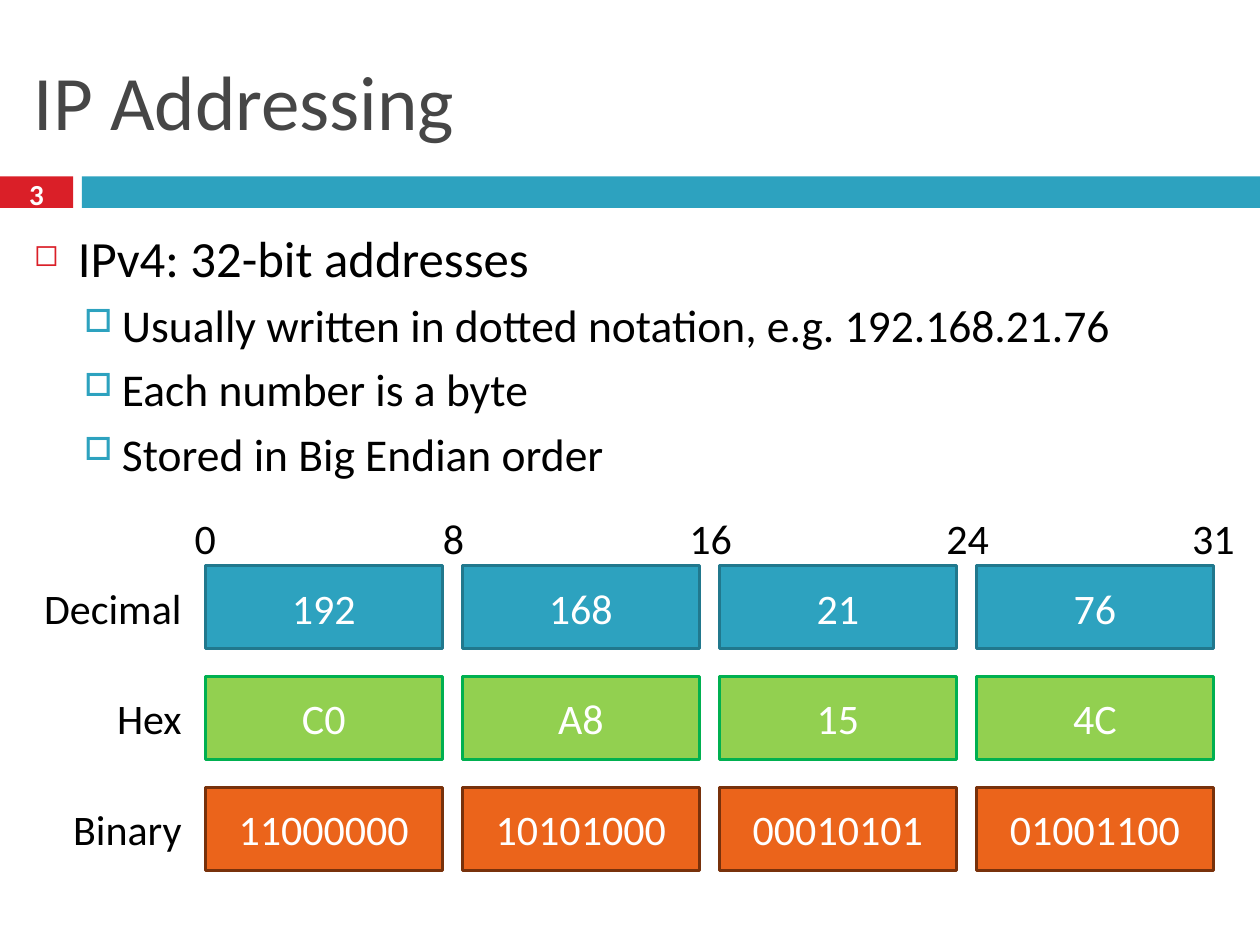
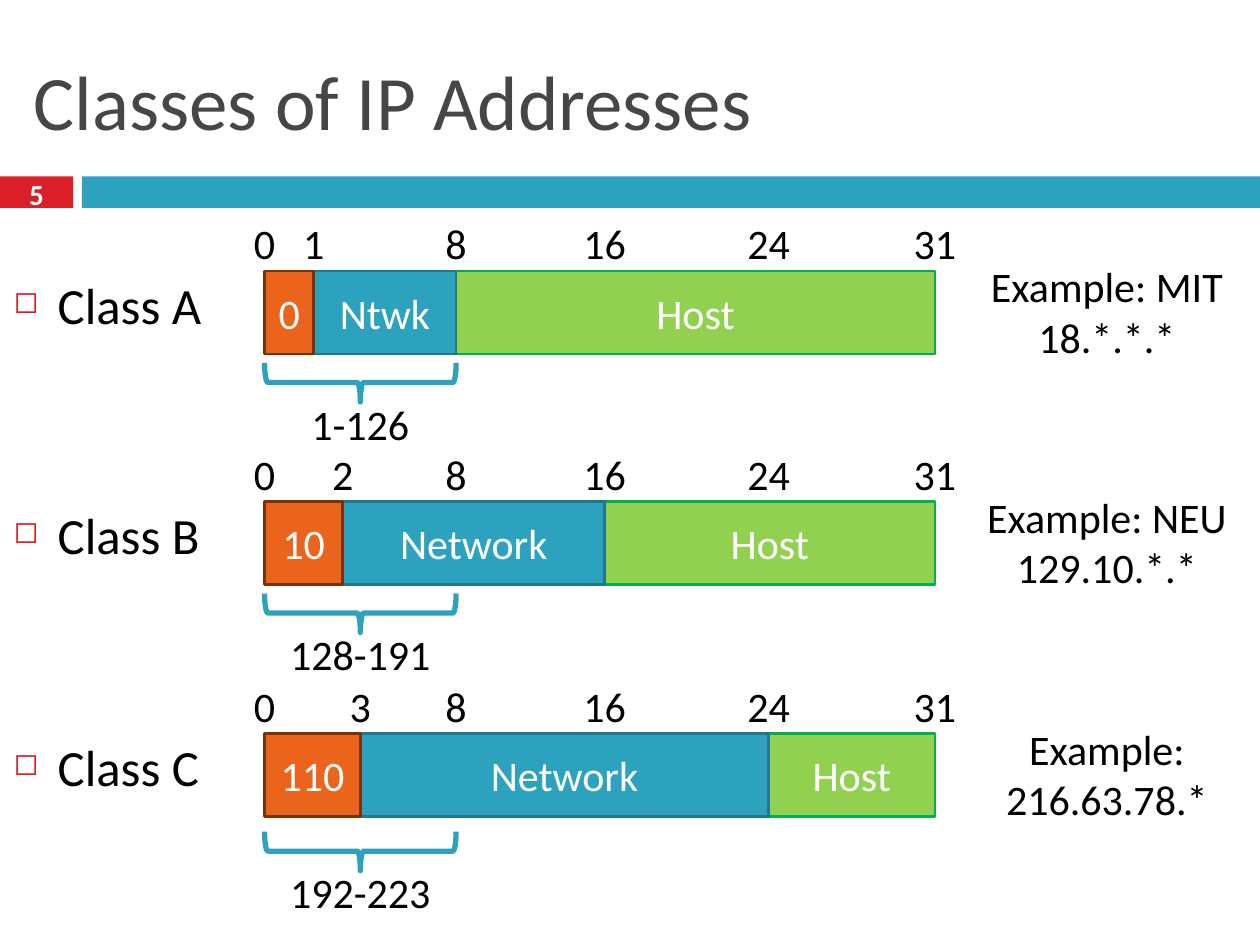
from lxml import etree
from pptx import Presentation
from pptx import util as u
from pptx.dml.color import RGBColor
from pptx.enum import shapes, text
from pptx.oxml.ns import qn

FONT = "Calibri"
WHITE, BLACK, TITLE_GREY = "FFFFFF", "000000", "464646"
RED, BLUE, GREEN, ORANGE = "DA1F28", "2DA2BF", "92D050", "EB641B"
OUTLINES = {BLUE: "21788D", GREEN: "00B050", ORANGE: "78310B"}
CENTER, LEFT, RIGHT = text.PP_ALIGN.CENTER, text.PP_ALIGN.LEFT, text.PP_ALIGN.RIGHT
MIDDLE, TOP = text.MSO_ANCHOR.MIDDLE, text.MSO_ANCHOR.TOP

# Per outline level: left margin, hanging indent, space before, size, bullet, bullet colour, bullet percent
LEVELS = [
    (0.35, 0.35, 7, 29, "◻", RED, 60),
    (0.70, 0.30, 5.5, 26, "□", BLUE, 70),
]
FIELD_HEIGHT = 0.66


def rgb(color):
    return RGBColor.from_string(color)


def box(left, top, width, height):
    return [u.Inches(n) for n in (left, top, width, height)]


class Deck:
    """Holds the presentation, its shared style and the slide being filled."""

    def __init__(self):
        self.prs = Presentation()
        self.prs.slide_width, self.prs.slide_height = u.Inches(10), u.Inches(7.5)
        self.slide = None

    def new_slide(self, title, number):
        self.slide = self.prs.slides.add_slide(self.prs.slide_layouts[6])
        self.rect(0, 1.4, 0.58, 0.25, RED)
        self.rect(0.65, 1.4, 9.35, 0.25, BLUE)
        self.label(title, 0.17, 0.25, 9.67, 1.08, size=44, color=TITLE_GREY, align=LEFT)
        self.label(number, 0, 1.37, 0.58, 0.33, size=16.6, color=WHITE, bold=True)

    def shape(self, kind, left, top, width, height):
        shape = self.slide.shapes.add_shape(kind, *box(left, top, width, height))
        shape.shadow.inherit = False
        return shape

    def rect(self, left, top, width, height, fill):
        rect = self.shape(shapes.MSO_SHAPE.RECTANGLE, left, top, width, height)
        rect.fill.solid()
        rect.fill.fore_color.rgb = rgb(fill)
        rect.line.fill.background()
        return rect

    def field(self, value, left, top, width, fill):
        """Draw an outlined block of address bits with its value inside."""
        field = self.rect(left, top, width, FIELD_HEIGHT, fill)
        field.line.color.rgb = rgb(OUTLINES[fill])
        field.line.width = u.Pt(1.5)
        self.fill_text(field.text_frame, value, 24, WHITE, CENTER, MIDDLE)

    def brace(self, left, top, width, depth):
        """Draw a brace that opens upwards, placed by its visible box."""
        middle_x, middle_y = left + width / 2, top + depth / 2
        brace = self.shape(shapes.MSO_SHAPE.LEFT_BRACE,
                           middle_x - depth / 2, middle_y - width / 2, depth, width)
        brace.rotation = 270
        brace.fill.background()
        brace.line.color.rgb = rgb(BLUE)
        brace.line.width = u.Pt(3)

    def label(self, words, left, top, width, height, size=24, color=BLACK,
              align=CENTER, anchor=MIDDLE, bold=False):
        frame = self.slide.shapes.add_textbox(*box(left, top, width, height)).text_frame
        self.fill_text(frame, words, size, color, align, anchor, bold)

    def bit_mark(self, bit, middle, field_top):
        self.label(str(bit), middle - 0.33, field_top - 0.55, 0.66, FIELD_HEIGHT)

    def fill_text(self, frame, words, size, color, align, anchor, bold=False):
        frame.text = words
        frame.word_wrap = True
        frame.vertical_anchor = anchor
        for paragraph in frame.paragraphs:
            paragraph.alignment = align
            self.style_runs(paragraph, size, color, bold)

    def style_runs(self, paragraph, size, color, bold=False):
        for run in paragraph.runs:
            run.font.name, run.font.size, run.font.bold = FONT, u.Pt(size), bold
            run.font.color.rgb = rgb(color)

    def outline(self, items, left, top, width, height):
        """Set (level, words) pairs as a bulleted list."""
        frame = self.slide.shapes.add_textbox(*box(left, top, width, height)).text_frame
        frame.word_wrap = True
        frame.text = "\n".join(words for _, words in items)
        for index, (paragraph, (level, _)) in enumerate(zip(frame.paragraphs, items)):
            margin, hanging, gap, size, bullet, color, percent = LEVELS[level]
            paragraph.level = level
            props = paragraph._p.get_or_add_pPr()
            props.set("marL", str(u.Inches(margin)))
            props.set("indent", str(-u.Inches(hanging)))
            bullet_color = etree.SubElement(props, qn("a:buClr"))
            etree.SubElement(bullet_color, qn("a:srgbClr"), val=color)
            etree.SubElement(props, qn("a:buSzPct"), val=str(percent * 1000))
            etree.SubElement(props, qn("a:buChar"), char=bullet)
            paragraph.space_before = u.Pt(gap if index else 0)
            self.style_runs(paragraph, size, BLACK)


def addressing_slide(deck):
    deck.new_slide("IP Addressing", "3")
    deck.outline([
        (0, "IPv4: 32-bit addresses"),
        (1, "Usually written in dotted notation, e.g. 192.168.21.76"),
        (1, "Each number is a byte"),
        (1, "Stored in Big Endian order"),
    ], 0.17, 1.75, 9.67, 2.33)

    left, top, byte_width, byte_pitch, row_pitch = 1.63, 4.49, 1.88, 2.04, 0.88
    notations = [
        ("Decimal", BLUE, ["192", "168", "21", "76"]),
        ("Hex", GREEN, ["C0", "A8", "15", "4C"]),
        ("Binary", ORANGE, ["11000000", "10101000", "00010101", "01001100"]),
    ]
    for row, (notation, fill, values) in enumerate(notations):
        row_top = top + row * row_pitch
        deck.label(notation, 0.06, row_top, 1.48, FIELD_HEIGHT, align=RIGHT)
        for column, value in enumerate(values):
            deck.field(value, left + column * byte_pitch, row_top, byte_width, fill)

    deck.bit_mark(0, left, top)
    for byte in (1, 2, 3):
        deck.bit_mark(8 * byte, left + byte * byte_pitch - 0.07, top)
    deck.bit_mark(31, left + 3 * byte_pitch + byte_width, top)


def classes_slide(deck):
    deck.new_slide("Classes of IP Addresses", "5")
    bit_x = {0: 2.1, 1: 2.49, 2: 2.72, 3: 2.86, 8: 3.62, 16: 4.8, 24: 6.1, 31: 7.42}
    # Name, top, prefix, network name, first network bit, first host bit, range, brace drop, example
    classes = [
        ("Class A", 2.15, "0", "Ntwk", 1, 8, "1-126", 0.73, "Example: MIT\n18.*.*.*"),
        ("Class B", 3.98, "10", "Network", 2, 16, "128-191", 0.73, "Example: NEU\n129.10.*.*"),
        ("Class C", 5.82, "110", "Network", 3, 24, "192-223", 0.78, "Example:\n216.63.78.*"),
    ]
    for name, top, prefix, network, network_bit, host_bit, first_byte, drop, example in classes:
        deck.outline([(0, name)], 0.01, top - 0.03, 2.02, 0.59)
        fields = [
            ("Host", host_bit, 31, GREEN),
            (network, network_bit, host_bit, BLUE),
            (prefix, 0, network_bit, ORANGE),
        ]
        for value, start, end, fill in fields:
            deck.field(value, bit_x[start], top, bit_x[end] - bit_x[start], fill)
        for bit in (0, network_bit, 8, 16, 24, 31):
            deck.bit_mark(bit, bit_x[bit], top)
        deck.brace(bit_x[0], top + drop, bit_x[8] - bit_x[0], 0.31)
        deck.label(first_byte, 2.14, top + drop + 0.23, 1.44, 0.5, anchor=TOP)
        deck.label(example, 7.58, top - 0.13, 2.41, 0.91, anchor=TOP)


def main():
    deck = Deck()
    addressing_slide(deck)
    classes_slide(deck)
    deck.prs.save("out.pptx")


if __name__ == "__main__":
    main()
